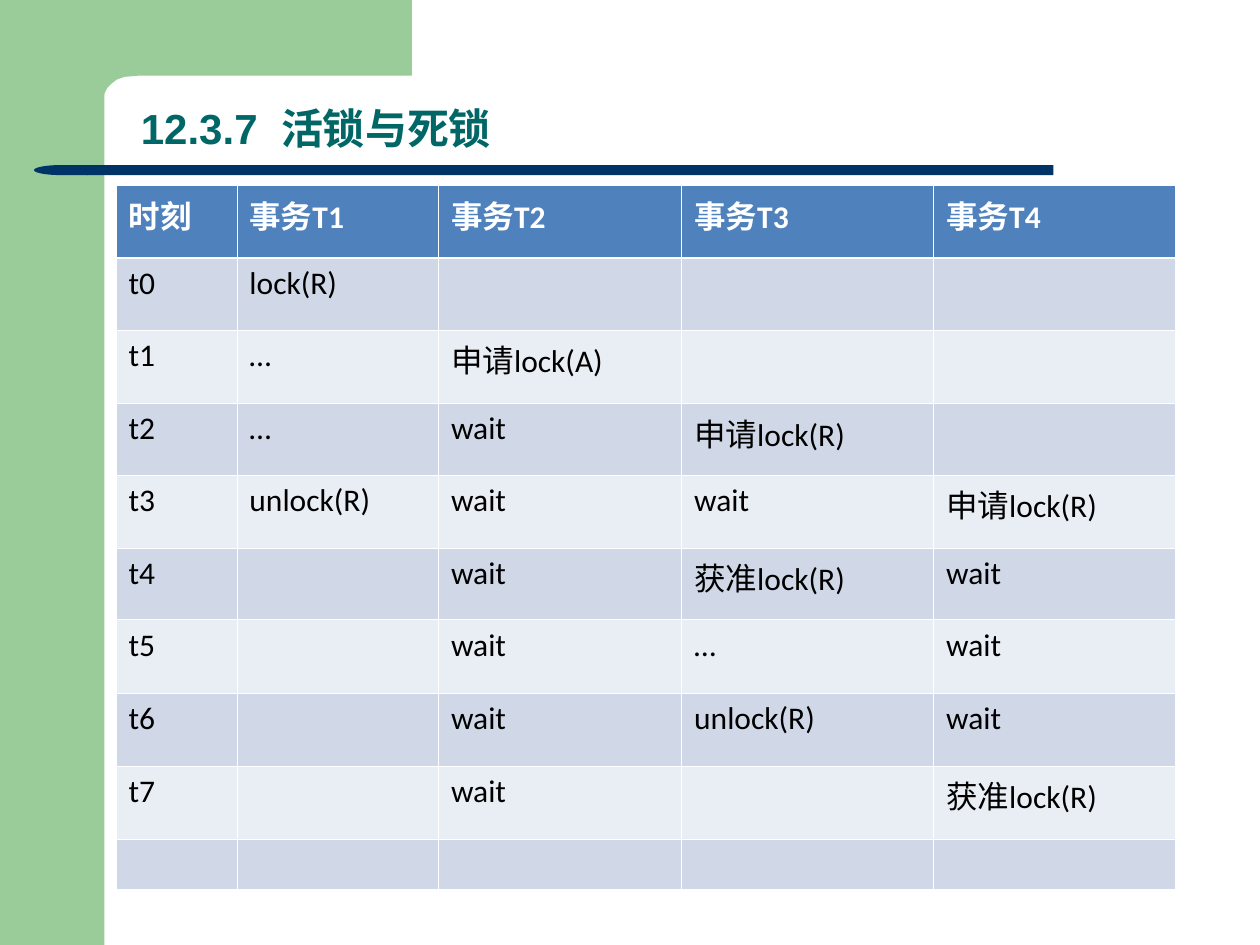
from pptx import Presentation
from pptx.dml.color import RGBColor
from pptx.enum.shapes import MSO_SHAPE
from pptx.enum.text import MSO_ANCHOR
from pptx.oxml import parse_xml
from pptx.oxml.ns import nsdecls
from pptx.util import Inches, Pt

RECT = MSO_SHAPE.RECTANGLE
ROUND = MSO_SHAPE.ROUNDED_RECTANGLE
DELAY = MSO_SHAPE.FLOWCHART_DELAY
BOTTOM = MSO_ANCHOR.BOTTOM

GREEN, NAVY, TEAL = "99CC99", "003366", "006666"
WHITE, BLACK = "FFFFFF", "000000"
HEAD, BANDS = "4F81BD", ("E9EDF4", "D0D8E8")
THIN, THICK = 0.45, 1.47

CORNER = [(3.27, 0), (3.27, 0.6), (1.11, 0.6), (0.99, 0.61), (0.93, 0.63),
          (0.89, 0.66), (0.85, 0.7), (0.83, 0.74), (0.81, 0.83),
          (0.81, 0.91), (0.5, 0.91), (0.5, 0)]

WIDTHS = [0.96, 1.6, 1.93, 2, 1.92]
HEIGHTS = [0.58, 0.57, 0.58, 0.57, 0.58, 0.57, 0.58, 0.58, 0.58, 0.4]
ROWS = [
    ["时刻", "事务T1", "事务T2", "事务T3", "事务T4"],
    ["t0", "lock(R)", "", "", ""],
    ["t1", "…", "申请lock(A)", "", ""],
    ["t2", "…", "wait", "申请lock(R)", ""],
    ["t3", "unlock(R)", "wait", "wait", "申请lock(R)"],
    ["t4", "", "wait", "获准lock(R)", "wait"],
    ["t5", "", "wait", "…", "wait"],
    ["t6", "", "wait", "unlock(R)", "wait"],
    ["t7", "", "wait", "", "获准lock(R)"],
    [""] * 5,
]


def color(code):
    return RGBColor.from_string(code)


class Deck:
    def __init__(self, slide):
        self.slide = slide

    def paint(self, shape, fill):
        shape.shadow.inherit = False
        shape.fill.solid()
        shape.fill.fore_color.rgb = color(fill)
        shape.line.fill.background()
        return shape

    def block(self, kind, box, fill):
        shape = self.slide.shapes.add_shape(kind, *map(Inches, box))
        return self.paint(shape, fill)

    def outline(self, points, fill):
        first, *rest = [(Inches(x), Inches(y)) for x, y in points]
        path = self.slide.shapes.build_freeform(*first)
        path.add_line_segments(rest, close=True)
        return self.paint(path.convert_to_shape(), fill)

    def style(self, par, font, size, ink, bold):
        for run in par.runs:
            run.font.name = font
            run.font.size = Pt(size)
            run.font.bold = bold
            run.font.color.rgb = color(ink)

    def title(self, text, box):
        frame = self.slide.shapes.add_textbox(*map(Inches, box)).text_frame
        frame.word_wrap = True
        frame.vertical_anchor = BOTTOM
        frame.text = text
        par = frame.paragraphs[0]
        par.line_spacing = 0.9
        self.style(par, "Arial", 24, TEAL, True)

    def border(self, cell, side, width):
        cell._tc.get_or_add_tcPr().append(parse_xml(
            f'<a:ln{side} {nsdecls("a")} w="{Pt(width)}"><a:solidFill>'
            f'<a:srgbClr val="{WHITE}"/></a:solidFill></a:ln{side}>'))

    def table(self, rows, widths, heights, left, top):
        box = (left, top, sum(widths), sum(heights))
        grid = self.slide.shapes.add_table(
            len(rows), len(widths), *map(Inches, box)).table
        for col, width in zip(grid.columns, widths):
            col.width = Inches(width)
        for r, (row, height) in enumerate(zip(rows, heights)):
            grid.rows[r].height = Inches(height)
            head = r == 0
            # A thick rule parts the header from the body
            rules = {"L": THIN, "R": THIN,
                     "T": THICK if r == 1 else THIN,
                     "B": THICK if head else THIN}
            for c, text in enumerate(row):
                cell = grid.cell(r, c)
                for side, width in rules.items():
                    self.border(cell, side, width)
                cell.fill.solid()
                cell.fill.fore_color.rgb = color(HEAD if head else BANDS[r % 2])
                cell.text_frame.text = text
                self.style(cell.text_frame.paragraphs[0], "Calibri", 18,
                           WHITE if head else BLACK, head)


def main():
    prs = Presentation()
    prs.slide_width, prs.slide_height = Inches(10), Inches(7.5)
    deck = Deck(prs.slides.add_slide(prs.slide_layouts[6]))

    # Green side band and corner
    deck.block(RECT, (0, 0, 0.83, 7.5), GREEN)
    deck.outline(CORNER, GREEN)

    # Navy rule with a rounded left tip
    bar = deck.block(ROUND, (0.69, 1.31, 7.67, 0.08), NAVY)
    bar.adjustments[0] = 0
    tip = deck.block(DELAY, (0.27, 1.31, 0.43, 0.08), NAVY)
    tip._element.spPr.xfrm.set("flipH", "1")

    # Title and lock schedule
    deck.title("12.3.7  活锁与死锁", (1.02, 0.72, 8.19, 0.55))
    deck.table(ROWS, WIDTHS, HEIGHTS, 0.92, 1.47)

    prs.save("out.pptx")


if __name__ == "__main__":
    main()
